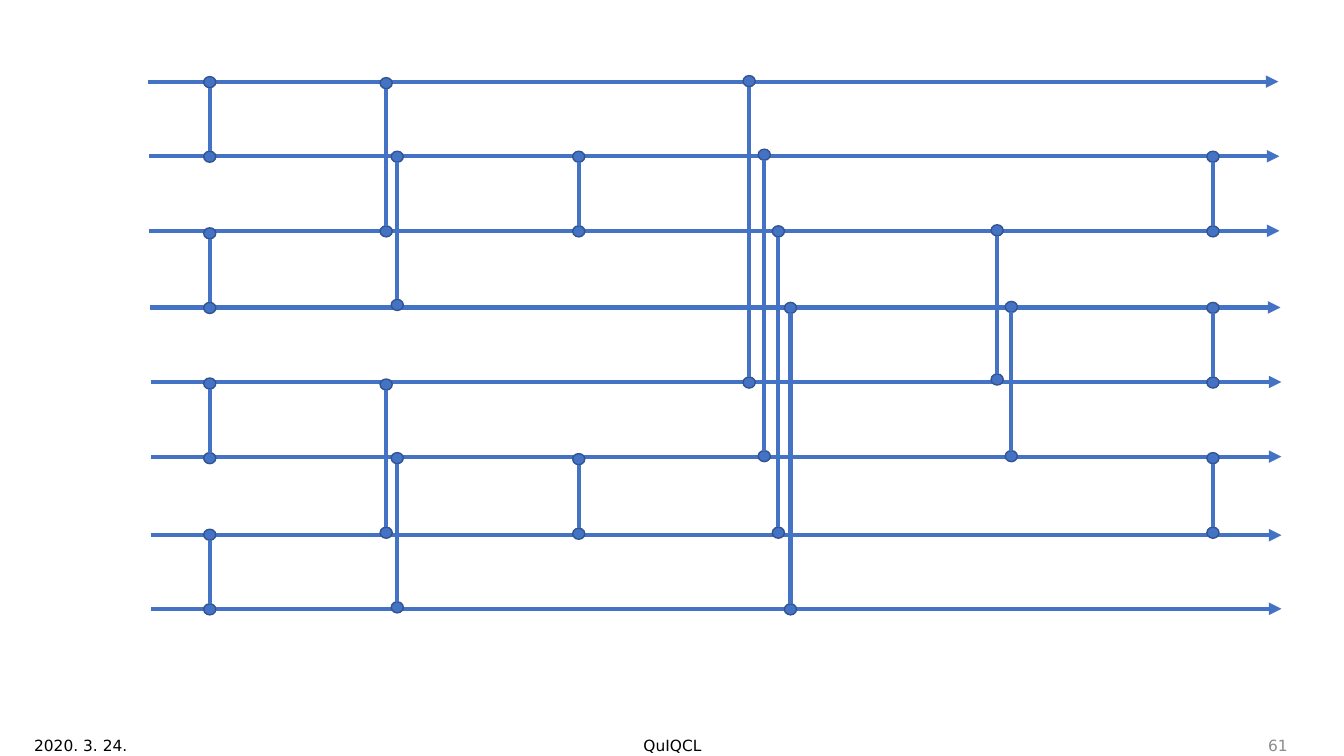
from lxml import etree
from pptx import Presentation
from pptx.dml.color import RGBColor
from pptx.enum.shapes import MSO_CONNECTOR, MSO_SHAPE
from pptx.enum.text import MSO_ANCHOR, PP_ALIGN
from pptx.oxml.ns import qn
from pptx.util import Inches, Pt

STRAIGHT = MSO_CONNECTOR.STRAIGHT
OVAL = MSO_SHAPE.OVAL
MIDDLE = MSO_ANCHOR.MIDDLE
LEFT, CENTER, RIGHT = PP_ALIGN.LEFT, PP_ALIGN.CENTER, PP_ALIGN.RIGHT

COLORS = {"wire": "4472C4", "node_edge": "325491", "text": "000000", "page": "8C8C8C"}
FONT = "DejaVu Sans"
NODE_WIDTH, NODE_HEIGHT = 0.12, 0.11
WIRE_LENGTH = 11.21

# Start of each wire: x, y
WIRES = [(1.47, 0.81), (1.48, 1.55), (1.48, 2.29), (1.49, 3.05),
         (1.5, 3.79), (1.5, 4.53), (1.5, 5.31), (1.5, 6.04)]

# Centre x of each comparator column: tops of its upper and lower nodes
COMPARATORS = {
    2.08: [(0.76, 1.5), (2.26, 3), (3.75, 4.49), (5.25, 5.99)],
    3.83: [(0.77, 2.24), (3.76, 5.23)],
    3.94: [(1.5, 2.97), (4.49, 5.97)],
    5.74: [(1.5, 2.24), (4.5, 5.24)],
    7.43: [(0.75, 3.74)],
    7.58: [(1.48, 4.47)],
    7.72: [(2.24, 5.23)],
    7.84: [(3, 5.99)],
    9.89: [(2.23, 3.71)],
    10.03: [(2.99, 4.47)],
    12.03: [(1.5, 2.24), (3, 3.74), (4.49, 5.23)],
}

# Text, left, width, alignment, colour
FOOTERS = [
    ("2020. 3. 24.", 0.24, 3, LEFT, "text"),
    ("QuIQCL", 4.42, 4.5, CENTER, "text"),
    ("61", 9.87, 3, RIGHT, "page"),
]


class NetworkSlide:
    """Draws the parts of a sorting network on one slide."""

    def __init__(self, slide):
        self.shapes = slide.shapes

    def color(self, key):
        return RGBColor.from_string(COLORS[key])

    def line(self, x1, y1, x2, y2, arrow=False):
        line = self.shapes.add_connector(
            STRAIGHT, Inches(x1), Inches(y1), Inches(x2), Inches(y2))
        line.line.color.rgb = self.color("wire")
        line.line.width = Pt(3)
        if arrow:
            outline = line.line._get_or_add_ln()
            etree.SubElement(outline, qn("a:tailEnd"), type="triangle")
        properties = line._element.spPr
        etree.SubElement(properties, qn("a:effectLst"))
        return line

    def node(self, center_x, top):
        node = self.shapes.add_shape(
            OVAL, Inches(center_x - NODE_WIDTH / 2), Inches(top),
            Inches(NODE_WIDTH), Inches(NODE_HEIGHT))
        node.shadow.inherit = False
        node.fill.solid()
        node.fill.fore_color.rgb = self.color("wire")
        node.line.color.rgb = self.color("node_edge")
        node.line.width = Pt(1)
        return node

    def comparator(self, x, upper_top, lower_top):
        """Two nodes joined from the foot of the upper to the top of the lower."""
        self.node(x, upper_top)
        lower_node = self.node(x, lower_top)
        link = self.line(x, upper_top + NODE_HEIGHT, x, lower_top)
        link.end_connect(lower_node, 0)

    def footer(self, text, left, width, alignment, color):
        box = self.shapes.add_textbox(
            Inches(left), Inches(7.19), Inches(width), Inches(0.4))
        frame = box.text_frame
        frame.word_wrap = True
        frame.vertical_anchor = MIDDLE
        paragraph = frame.paragraphs[0]
        paragraph.alignment = alignment
        run = paragraph.add_run()
        run.text = text
        run.font.name = FONT
        run.font.size = Pt(11)
        run.font.color.rgb = self.color(color)


def main():
    presentation = Presentation()
    presentation.slide_width = Inches(13.33)
    presentation.slide_height = Inches(7.5)
    blank_layout = presentation.slide_layouts[6]
    network = NetworkSlide(presentation.slides.add_slide(blank_layout))

    for x, y in WIRES:
        network.line(x, y, x + WIRE_LENGTH, y, arrow=True)
    for x, node_pairs in COMPARATORS.items():
        for upper_top, lower_top in node_pairs:
            network.comparator(x, upper_top, lower_top)
    for footer in FOOTERS:
        network.footer(*footer)

    presentation.save("out.pptx")


if __name__ == "__main__":
    main()
